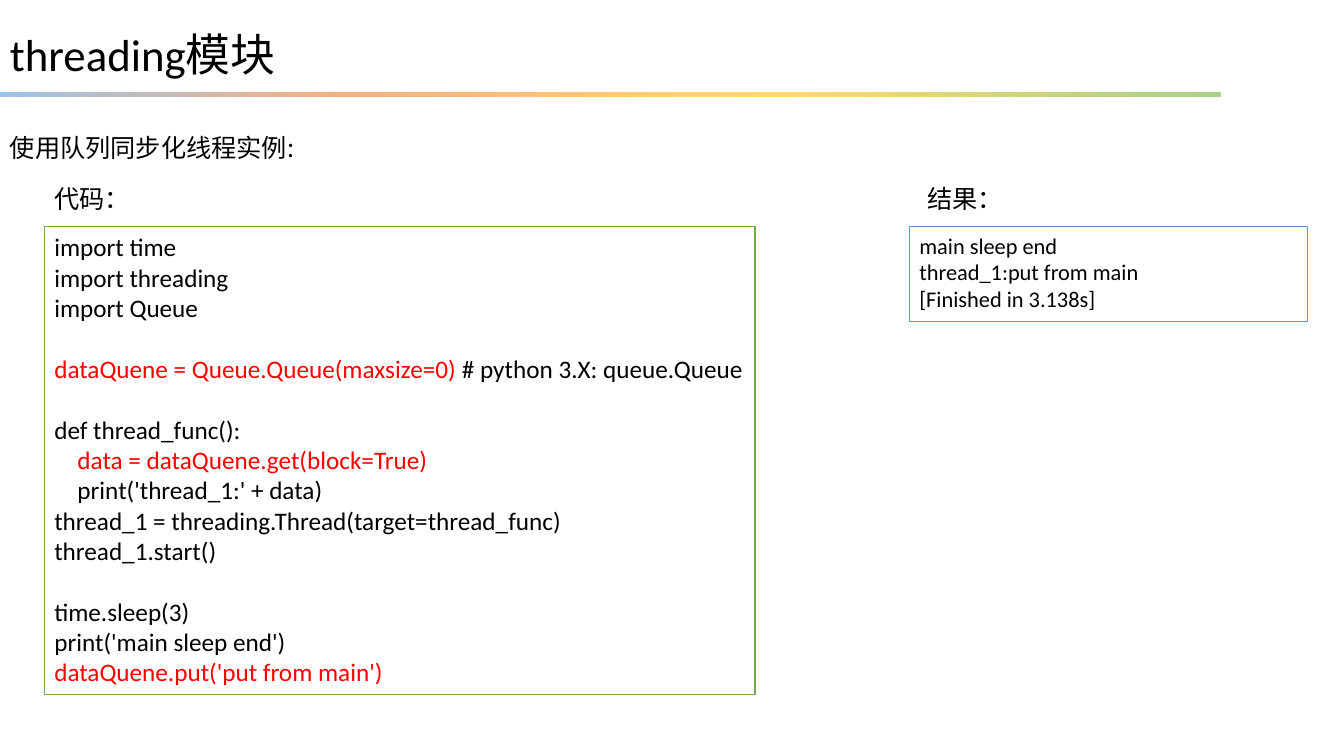
from copy import deepcopy

from pptx import Presentation
from pptx.dml.color import RGBColor
from pptx.enum.shapes import MSO_SHAPE as SHAPE
from pptx.enum.text import MSO_ANCHOR as ANCHOR, PP_ALIGN as ALIGN
from pptx.oxml.ns import qn
from pptx.util import Inches, Pt

BLACK = RGBColor(0x00, 0x00, 0x00)
WHITE = RGBColor(0xFF, 0xFF, 0xFF)
RED = RGBColor(0xFF, 0x00, 0x00)
GREEN = RGBColor(0x70, 0xAD, 0x47)
BLUE = RGBColor(0x5B, 0x9B, 0xD5)
RULE_STOPS = [(0, RGBColor(0x9D, 0xC3, 0xE6)), (0.28, RGBColor(0xF4, 0xB1, 0x83)),
              (0.64, RGBColor(0xFF, 0xD9, 0x66)), (1, RGBColor(0xA9, 0xD1, 0x8E))]
LATIN, CJK = "Calibri", "Noto Sans CJK SC"

# Columns and rows of the slide, in inches
CODE_X, RESULT_X = 0.44, 9.02
LABEL_Y, PANEL_Y = 1.77, 2.25

prs = Presentation()
prs.slide_width, prs.slide_height = Inches(13.33), Inches(7.5)
s = prs.slides.add_slide(prs.slide_layouts[6])


def add_run(p, text, size, color=BLACK, font=LATIN):
    """Append a formatted run to a paragraph."""
    r = p.add_run()
    r.text = text
    r.font.size, r.font.name = Pt(size), font
    r.font.color.rgb = color
    ea = r.font._element.makeelement(qn("a:ea"), {"typeface": CJK})
    r.font._element.find(qn("a:latin")).addnext(ea)


def add_panel(box, line, size, rows):
    """Draw an outlined panel; each row is (gap above, indent, runs)."""
    sp = s.shapes.add_shape(SHAPE.RECTANGLE, *map(Inches, box))
    sp.shadow.inherit = False
    sp.fill.solid()
    sp.fill.fore_color.rgb = WHITE
    sp.line.color.rgb, sp.line.width = line, Pt(1)
    tf = sp.text_frame
    tf.word_wrap, tf.vertical_anchor = True, ANCHOR.TOP
    for i, (gap, indent, runs) in enumerate(rows):
        p = tf.add_paragraph() if i else tf.paragraphs[0]
        p.alignment = ALIGN.LEFT
        p.space_before = Pt(gap)
        p._p.get_or_add_pPr().set("marL", str(Inches(indent)))
        for text, color in runs:
            add_run(p, text, size, color)


# Coloured rule under the title
rule = s.shapes.add_shape(SHAPE.RECTANGLE, 0, Inches(0.91), Inches(12.11), Inches(0.05))
rule.shadow.inherit = False
rule.line.fill.background()
rule.fill.gradient()
rule.fill.gradient_angle = 0
stops = rule._element.spPr.find(".//" + qn("a:gsLst"))
while len(stops) < len(RULE_STOPS):
    stops.append(deepcopy(stops[0]))
for stop, (position, color) in zip(rule.fill.gradient_stops, RULE_STOPS):
    stop.position, stop.color.rgb = position, color

# Title and labels
for box, text, size, font in [
    ((0, 0.22, 5.48, 0.64), "threading模块", 32, LATIN),
    ((0, 1.26, 8.32, 0.4), "使用队列同步化线程实例:", 18, CJK),
    ((CODE_X, LABEL_Y, 1.89, 0.4), "代码：", 18, CJK),
    ((RESULT_X + 0.08, LABEL_Y, 1.89, 0.4), "结果：", 18, CJK),
]:
    tf = s.shapes.add_textbox(*map(Inches, box)).text_frame
    tf.word_wrap = True
    add_run(tf.paragraphs[0], text, size, font=font)

# Code and its output
GAP, INDENT = 22, 0.23
code = [
    (0, 0, [("import time", BLACK)]),
    (0, 0, [("import threading", BLACK)]),
    (0, 0, [("import Queue", BLACK)]),
    (GAP, 0, [("dataQuene = Queue.Queue(maxsize=0) ", RED),
              ("# python 3.X: queue.Queue", BLACK)]),
    (GAP, 0, [("def thread_func():", BLACK)]),
    (0, INDENT, [("data = dataQuene.get(block=True)", RED)]),
    (0, INDENT, [("print('thread_1:' + data)", BLACK)]),
    (0, 0, [("thread_1 = threading.Thread(target=thread_func)", BLACK)]),
    (0, 0, [("thread_1.start()", BLACK)]),
    (GAP, 0, [("time.sleep(3)", BLACK)]),
    (0, 0, [("print('main sleep end')", BLACK)]),
    (0, 0, [("dataQuene.put('put from main')", RED)]),
]
result = ["main sleep end", "thread_1:put from main", "[Finished in 3.138s]"]
add_panel((CODE_X, PANEL_Y, 7.05, 4.64), GREEN, 18, code)
add_panel((RESULT_X, PANEL_Y, 3.95, 0.94), BLUE, 16,
          [(0, 0, [(text, BLACK)]) for text in result])

prs.save("out.pptx")
